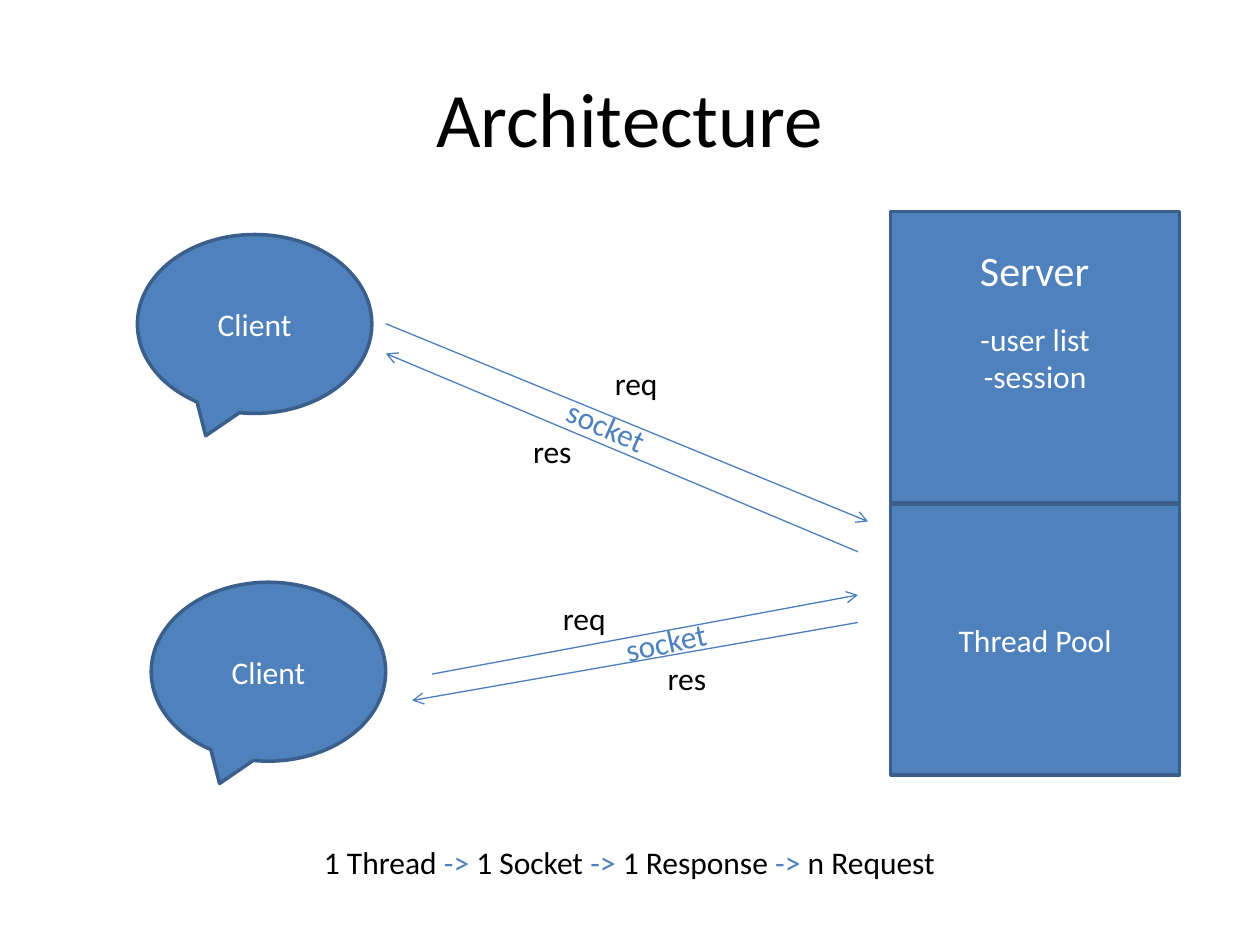
"""Build the client and server architecture slide."""
import pptx
import pptx.util
import pptx.dml.color
import pptx.enum.shapes
import pptx.enum.text
import pptx.oxml
import pptx.oxml.ns

Pt = pptx.util.Pt
SHAPES = pptx.enum.shapes.MSO_SHAPE
ALIGN = pptx.enum.text.PP_ALIGN
ANCHOR = pptx.enum.text.MSO_ANCHOR

THEME = {
    "font": "Calibri",
    "text": "000000", "light": "FFFFFF", "accent": "4F81BD",
    "border": "3A5F8C", "arrow": "4B7EBC",
    "title_size": 44, "heading_size": 24, "body_size": 18,
    "border_width": 2, "arrow_width": 0.75,
}

TITLE = "Architecture"
CLIENT_SIZE = (134, 102.24)
CLIENTS = [("Client", 78.5, 134), ("Client", 86.4, 332.7)]

SERVER_LEFT, SERVER_WIDTH = 509, 165
SERVER_PARTS = [
    (["-user list", "-session"], 121, 166.5),
    (["Thread Pool"], 288, 155),
]
SERVER_HEADING = ("Server", 543, 136, 96.5, 36)

ARROWS = [
    ((220.5, 185), (496, 298)),
    ((490.3, 315.3), (220.5, 202)),
    ((246.8, 385.2), (490.3, 340)),
    ((490.3, 355.7), (235.5, 400.3)),
]

LABEL_HEIGHT = 29
LABELS = [
    ("req", 344.2, 204.7, 39.6, 0, "text"),
    ("req", 314.6, 339, 39.6, 0, "text"),
    ("res", 297.5, 243.5, 36.7, 0, "text"),
    ("res", 374.4, 373, 36.7, 0, "text"),
    ("socket", 316, 229, 62, 24.1, "accent"),
    ("socket", 350, 352, 62, 347.4, "accent"),
]

FLOW = ["1 Thread", "1 Socket", "1 Response", "n Request"]
FLOW_BOX = (178, 478, 372, LABEL_HEIGHT)


def color(name):
    return pptx.dml.color.RGBColor.from_string(THEME[name])


def write(shape, paragraphs, size="body_size", ink="text", align=ALIGN.LEFT,
          anchor=ANCHOR.TOP, wrap=True):
    frame = shape.text_frame
    frame.word_wrap = wrap
    frame.vertical_anchor = anchor
    for index, content in enumerate(paragraphs):
        paragraph = frame.add_paragraph() if index else frame.paragraphs[0]
        paragraph.alignment = align
        runs = [(content, ink)] if isinstance(content, str) else content
        for text, run_ink in runs:
            run = paragraph.add_run()
            run.text = text
            run.font.name = THEME["font"]
            run.font.size = Pt(THEME[size])
            run.font.color.rgb = color(run_ink)


def add_block(slide, kind, box, paragraphs):
    shape = slide.shapes.add_shape(kind, *map(Pt, box))
    shape.shadow.inherit = False
    shape.fill.solid()
    shape.fill.fore_color.rgb = color("accent")
    shape.line.color.rgb = color("border")
    shape.line.width = Pt(THEME["border_width"])
    write(shape, paragraphs, ink="light", align=ALIGN.CENTER, anchor=ANCHOR.MIDDLE)


def add_label(slide, box, paragraphs, rotation=0, **text_format):
    label = slide.shapes.add_textbox(*map(Pt, box))
    label.rotation = rotation
    write(label, paragraphs, **text_format)


def add_arrow(slide, start, end):
    straight = pptx.enum.shapes.MSO_CONNECTOR.STRAIGHT
    arrow = slide.shapes.add_connector(straight, *map(Pt, start + end))
    arrow.line.color.rgb = color("arrow")
    arrow.line.width = Pt(THEME["arrow_width"])
    line = arrow.line._get_or_add_ln()
    pptx.oxml.xmlchemy.OxmlElement("a:tailEnd")
    tail = line.makeelement(pptx.oxml.ns.qn("a:tailEnd"), {"type": "arrow"})
    line.append(tail)
    properties = arrow._element.spPr
    properties.append(properties.makeelement(pptx.oxml.ns.qn("a:effectLst"), {}))


def build():
    presentation = pptx.Presentation()
    presentation.slide_width, presentation.slide_height = Pt(720), Pt(540)
    slide = presentation.slides.add_slide(presentation.slide_layouts[5])

    title = slide.shapes.title
    title.left, title.top, title.width, title.height = map(Pt, (36, 21.6, 648, 90))
    write(title, [TITLE], size="title_size", align=ALIGN.CENTER, anchor=ANCHOR.MIDDLE)

    for text, left, top in CLIENTS:
        add_block(slide, SHAPES.OVAL_CALLOUT, (left, top, *CLIENT_SIZE), [text])
    for lines, top, height in SERVER_PARTS:
        add_block(slide, SHAPES.RECTANGLE, (SERVER_LEFT, top, SERVER_WIDTH, height), lines)

    heading, *heading_box = SERVER_HEADING
    add_label(slide, heading_box, [heading], size="heading_size", ink="light",
              align=ALIGN.CENTER)

    for start, end in ARROWS:
        add_arrow(slide, start, end)
    for text, left, top, width, rotation, ink in LABELS:
        add_label(slide, (left, top, width, LABEL_HEIGHT), [text], rotation,
                  ink=ink, wrap=False)

    flow_runs = [(FLOW[0], "text")]
    for step in FLOW[1:]:
        flow_runs += [(" ", "text"), ("->", "accent"), (" " + step, "text")]
    add_label(slide, FLOW_BOX, [flow_runs], wrap=False)

    presentation.save("out.pptx")


build()
